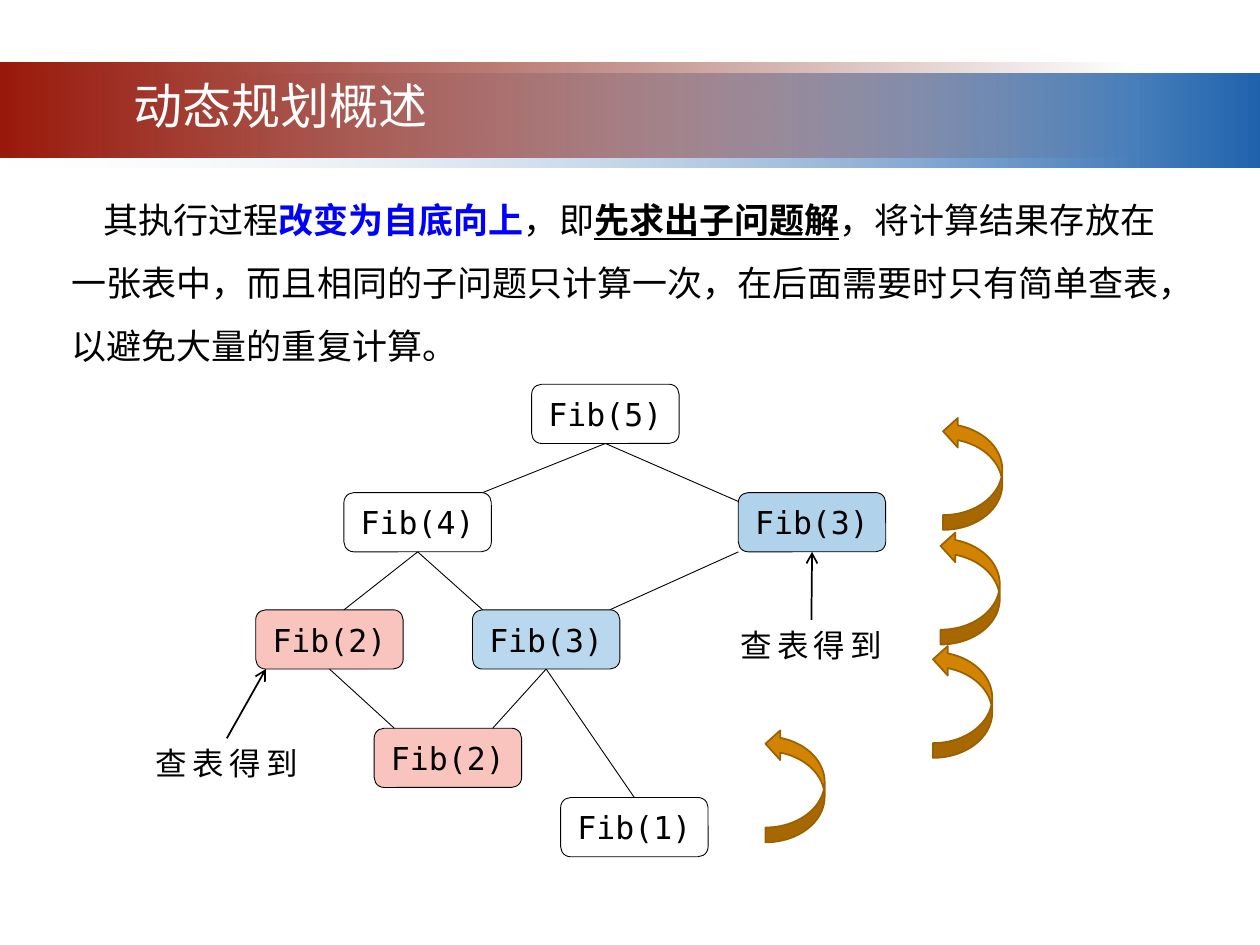
import pptx
import pptx.util
import pptx.oxml.ns
import pptx.dml.color
import pptx.enum.shapes
import pptx.enum.text
from lxml import etree

Inches = pptx.util.Inches
Pt = pptx.util.Pt
RGB = pptx.dml.color.RGBColor
qn = pptx.oxml.ns.qn
SHAPE = pptx.enum.shapes.MSO_SHAPE
LEFT = pptx.enum.text.PP_ALIGN.LEFT
CENTER = pptx.enum.text.PP_ALIGN.CENTER

BLACK = RGB(0x00, 0x00, 0x00)
WHITE = RGB(0xFF, 0xFF, 0xFF)
RED = RGB(0x99, 0x19, 0x0B)
MAROON = RGB(0x6D, 0x12, 0x08)
NAVY = RGB(0x1F, 0x63, 0xAD)
PALE = RGB(0xF1, 0xF2, 0xF7)
BLUE = RGB(0x00, 0x00, 0xFF)
SKY = RGB(0x00, 0x70, 0xC0)
PINK = RGB(0xFA, 0xC4, 0xBE)
GOLD = RGB(0xD2, 0x83, 0x02)
BROWN = RGB(0x9B, 0x61, 0x01)

MONO = "DejaVu Sans Mono"
SANS = "Noto Sans CJK SC"
NODE_W, NODE_H = 1.17, 0.47
TOP, BOTTOM = 0, 2


def set_alpha(color, percent):
    etree.SubElement(color, qn("a:alpha"), val=str(percent * 1000))


def add_text(para, text, size=18, font=SANS, color=BLACK, bold=False,
             under=False, gap=0):
    run = para.add_run()
    run.text = text
    style = run.font
    style.size = Pt(size)
    style.bold = bold
    style.underline = under
    style.color.rgb = color
    style.name = font
    props = run.font._element
    etree.SubElement(props, qn("a:ea"), typeface=font)
    if gap:
        props.set("spc", str(gap * 100))


def add_box(slide, x, y, w, h, align=CENTER):
    box = slide.shapes.add_textbox(Inches(x), Inches(y), Inches(w), Inches(h))
    frame = box.text_frame
    frame.word_wrap = True
    frame.auto_size = pptx.enum.text.MSO_AUTO_SIZE.SHAPE_TO_FIT_TEXT
    frame.paragraphs[0].alignment = align
    return box


def add_form(slide, kind, x, y, w, h, fill=None, line=None, width=1):
    form = slide.shapes.add_shape(kind, Inches(x), Inches(y), Inches(w), Inches(h))
    form.shadow.inherit = False
    if fill is not None:
        form.fill.solid()
        form.fill.fore_color.rgb = fill
    if line is None:
        form.line.fill.background()
    else:
        form.line.color.rgb = line
        form.line.width = Pt(width)
    return form


def add_band(slide, y, w, colors, clear):
    """Horizontal gradient band; the stop numbered clear is transparent."""
    band = add_form(slide, SHAPE.RECTANGLE, 0, y, w, 0.75)
    band.fill.gradient()
    band.fill.gradient_angle = 0
    for stop, color, place in zip(band.fill.gradient_stops, colors, (0, 1)):
        stop.color.rgb = color
        stop.position = place
    tints = list(band.element.spPr.iter(qn("a:srgbClr")))
    set_alpha(tints[clear], 0)


def add_node(slide, text, x, y, fill=WHITE, alpha=None):
    node = add_form(slide, SHAPE.ROUNDED_RECTANGLE, x, y, NODE_W, NODE_H,
                    fill, BLACK, 0.5)
    if alpha is not None:
        set_alpha(node.element.spPr.find(qn("a:solidFill"))[0], alpha)
    frame = node.text_frame
    frame.word_wrap = False
    frame.vertical_anchor = pptx.enum.text.MSO_ANCHOR.MIDDLE
    frame.paragraphs[0].alignment = CENTER
    add_text(frame.paragraphs[0], text, font=MONO)
    return node


def add_label(slide, x, y):
    label = add_box(slide, x, y, 1.56, 0.4)
    add_text(label.text_frame.paragraphs[0], "查表得到", gap=3)
    return label


def add_link(slide, start, side, end, goal=None, arrow=False):
    """Run from a side of start to a point, or to side goal of a shape."""
    x, y = (0, 0) if goal is not None else end
    link = slide.shapes.add_connector(
        pptx.enum.shapes.MSO_CONNECTOR.STRAIGHT, 0, 0, Inches(x), Inches(y))
    link.begin_connect(start, side)
    if goal is not None:
        link.end_connect(end, goal)
    link.line.color.rgb = BLACK
    link.line.width = Pt(1 if arrow else 0.5)
    if arrow:
        etree.SubElement(link.line._get_or_add_ln(), qn("a:tailEnd"), type="arrow")
    etree.SubElement(link.element.spPr, qn("a:effectLst"))
    return link


def add_head(slide):
    add_band(slide, 0.58, 10, (PALE, NAVY), 0)
    add_band(slide, 0.5, 9, (RED, MAROON), 1)
    title = add_box(slide, 0.31, 0.55, 3.83, 0.57)
    add_text(title.text_frame.paragraphs[0], "动态规划概述", size=28, color=WHITE)


def add_body(slide):
    box = add_box(slide, 0.47, 1.36, 8.91, 1.55, LEFT)
    para = box.text_frame.paragraphs[0]
    para.line_spacing = 1.5
    para._p.get_or_add_pPr().set("indent", str(Inches(0.25)))
    add_text(para, "其执行过程", size=20)
    add_text(para, "改变为自底向上", size=20, color=BLUE, bold=True)
    add_text(para, "，即", size=20)
    add_text(para, "先求出子问题解", size=20, bold=True, under=True)
    add_text(para, "，将计算结果存放在一张表中，而且相同的子问题只计算一次，"
             "在后面需要时只有简单查表，以避免大量的重复计算。", size=20)


def add_tree(slide):
    # Calls
    root = add_node(slide, "Fib(5)", 4.22, 3.05)
    four = add_node(slide, "Fib(4)", 2.73, 3.91)
    three = add_node(slide, "Fib(3)", 3.75, 4.84, SKY, 27)
    two = add_node(slide, "Fib(2)", 2.03, 4.84, PINK)
    add_node(slide, "Fib(2)", 2.97, 5.78, PINK)
    one = add_node(slide, "Fib(1)", 4.45, 6.33)
    reuse = add_node(slide, "Fib(3)", 5.86, 3.91, SKY, 31)

    # Branches
    for node, point in ((root, (3.83, 3.91)), (root, (5.86, 3.98)),
                        (four, (2.73, 4.84)), (four, (3.83, 4.84)),
                        (three, (3.91, 5.78)), (two, (3.13, 5.78))):
        add_link(slide, node, BOTTOM, point)
    add_link(slide, three, BOTTOM, one, TOP)
    slant = add_link(slide, three, TOP, (5.86, 4.38))
    slant.begin_x, slant.begin_y = Inches(4.84), Inches(4.84)
    start = slant.element.find(".//" + qn("a:stCxn"))
    start.getparent().remove(start)

    # Lookups
    add_link(slide, add_label(slide, 5.66, 4.92), TOP, reuse, BOTTOM, arrow=True)
    add_link(slide, add_label(slide, 1.02, 5.86), TOP, (2.11, 5.31), arrow=True)


def add_turns(slide):
    for x, y in ((5.86, 6), (7.19, 5.33), (7.25, 4.43), (7.27, 3.52)):
        turn = add_form(slide, SHAPE.CURVED_UP_ARROW, x, y, 0.9, 0.47, GOLD, BROWN)
        turn.rotation = 270


def main():
    deck = pptx.Presentation()
    deck.slide_width, deck.slide_height = Inches(10), Inches(7.5)
    slide = deck.slides.add_slide(deck.slide_layouts[6])
    add_head(slide)
    add_body(slide)
    add_tree(slide)
    add_turns(slide)
    deck.save("out.pptx")


if __name__ == "__main__":
    main()
